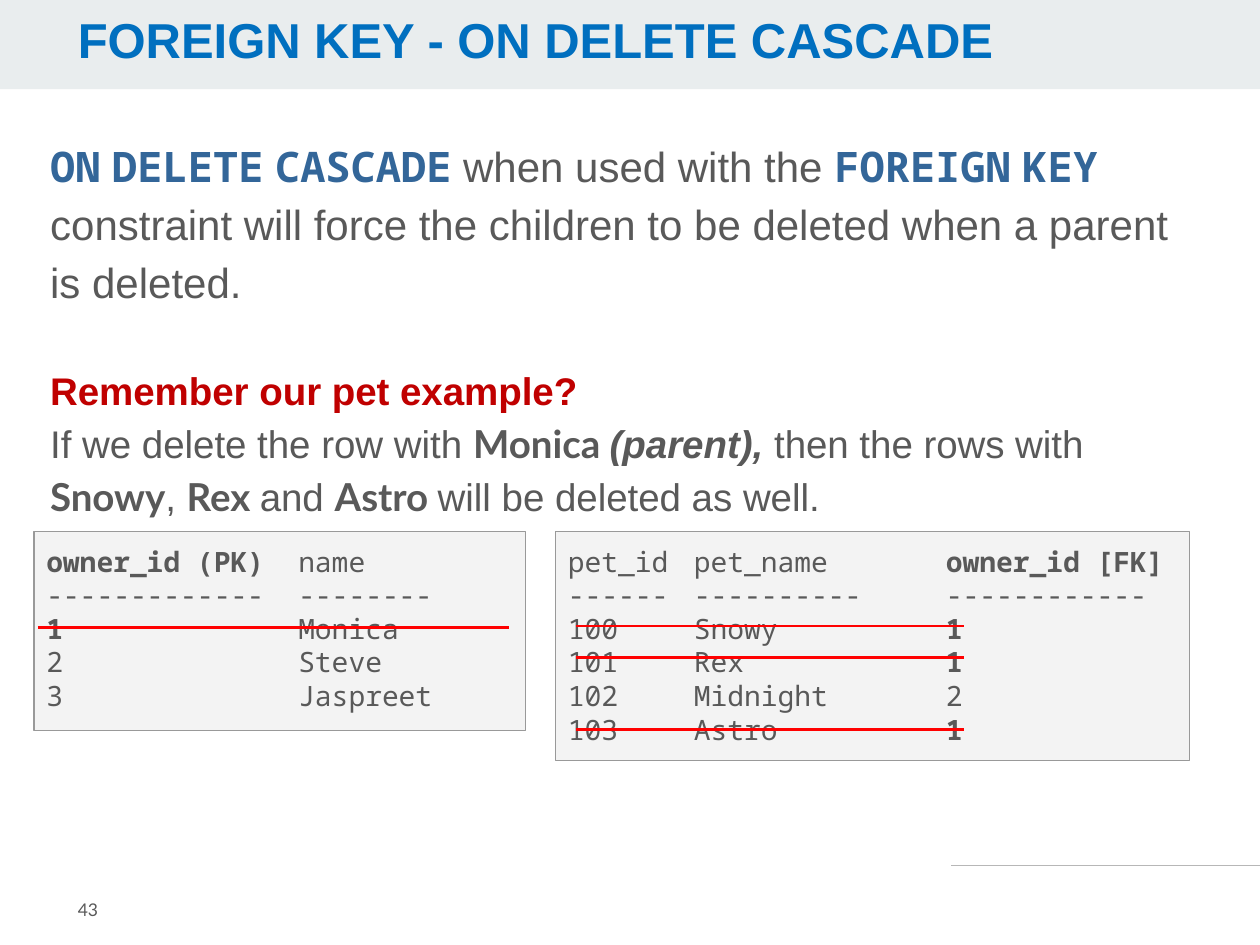
import pptx
import pptx.util
import pptx.dml.color
import pptx.enum.shapes
import pptx.enum.text
import pptx.oxml.ns
import lxml.etree

Pt = pptx.util.Pt
RGB = pptx.dml.color.RGBColor
BAND = RGB(0xE9, 0xED, 0xEE)
BLUE = RGB(0x00, 0x6F, 0xBF)
NAVY = RGB(0x33, 0x66, 0x99)
GREY = RGB(0x59, 0x59, 0x59)
CRIMSON = RGB(0xC0, 0x00, 0x00)
PANEL = RGB(0xF3, 0xF3, 0xF3)
BORDER = RGB(0x99, 0x99, 0x99)
RULE = RGB(0xB7, 0xB7, 0xB7)
RED = RGB(0xFF, 0x00, 0x00)

PLAIN = {"name": "Arial", "size": Pt(24), "bold": False, "color": GREY}
CODE = PLAIN | {"name": "Noto Sans Mono", "bold": True, "color": NAVY}
SMALL = PLAIN | {"size": Pt(22)}
NAME = SMALL | {"name": "Lato", "bold": True}
MONO = PLAIN | {"name": "Noto Sans Mono", "size": Pt(16)}
KEY = MONO | {"bold": True}


def write(par, runs):
    for text, form in runs:
        if text == "\n":
            par.add_line_break()
            continue
        run = par.add_run()
        run.text = text
        for key, value in form.items():
            if key == "color":
                run.font.color.rgb = value
            else:
                setattr(run.font, key, value)


def rule(x1, y1, x2, y2, color, width):
    line = slide.shapes.add_connector(
        pptx.enum.shapes.MSO_CONNECTOR.STRAIGHT, Pt(x1), Pt(y1), Pt(x2), Pt(y2))
    line.line.color.rgb = color
    line.line.width = Pt(width)
    lxml.etree.SubElement(line._element.spPr, pptx.oxml.ns.qn("a:effectLst"))


deck = pptx.Presentation()
deck.slide_width, deck.slide_height = Pt(720), Pt(540)
slide = deck.slides.add_slide(deck.slide_layouts[6])

rule(543.6, 494.6, 720, 494.6, RULE, 0.75)
band = slide.shapes.add_shape(
    pptx.enum.shapes.MSO_SHAPE.RECTANGLE, 0, 0, Pt(720), Pt(51))
band.shadow.inherit = False
band.fill.solid()
band.fill.fore_color.rgb = BAND
band.line.fill.background()

title = [("FOREIGN KEY - ON DELETE CASCADE",
          PLAIN | {"size": Pt(28), "bold": True, "color": BLUE})]
lead = [
    ("ON", CODE), (" ", PLAIN), ("DELETE", CODE), (" ", PLAIN), ("CASCADE", CODE),
    (" when used with the ", PLAIN),
    ("FOREIGN", CODE), (" ", PLAIN), ("KEY", CODE),
    (" constraint will force the children to be deleted when a parent is deleted.", PLAIN),
]
story = [
    ("Remember our pet example? ", SMALL | {"bold": True, "color": CRIMSON}),
    ("\n", SMALL),
    ("If we delete the row with ", SMALL), ("Monica ", NAME),
    ("(parent), ", SMALL | {"bold": True, "italic": True}),
    ("then the rows with ", SMALL), ("Snowy", NAME), (", ", SMALL),
    ("Rex ", NAME), ("and ", SMALL), ("Astro ", NAME),
    ("will be deleted as well.", SMALL),
]
page = [("43", NAME | {"size": Pt(10), "bold": False})]

anchor = pptx.enum.text.MSO_ANCHOR
texts = [
    ((37.4, 5.8, 567.4, 39.6), 3.6, anchor.TOP, 0.9, [title]),
    ((21.6, 72.7, 656, 235.4), 3.6, anchor.TOP, 1.15, [lead, story]),
    ((37.4, 499, 88.6, 41), 7.2, anchor.MIDDLE, 1.0, [page]),
]
for place, inset, hold, space, pars in texts:
    frame = slide.shapes.add_textbox(*map(Pt, place)).text_frame
    form = {"word_wrap": True, "vertical_anchor": hold,
            "margin_top": Pt(inset), "margin_bottom": Pt(inset)}
    for key, value in form.items():
        setattr(frame, key, value)
    for i, runs in enumerate(pars):
        par = frame.add_paragraph() if i else frame.paragraphs[0]
        par.line_spacing = space
        if i:
            par.space_before = Pt(30)
        write(par, runs)

owners = [
    [("owner_id (PK)", KEY), ("\tname", MONO)],
    [("-------------\t--------", MONO)],
    [("1", KEY), ("\tMonica", MONO)],
    [("2\tSteve", MONO)],
    [("3\tJaspreet", MONO)],
]
pets = [
    [("pet_id\tpet_name\t", MONO), ("owner_id [FK]", KEY)],
    [("------\t----------\t------------", MONO)],
    [("100\tSnowy\t", MONO), ("1", KEY)],
    [("101\tRex\t", MONO), ("1", KEY)],
    [("102\tMidnight\t2", MONO)],
    [("103\tAstro\t", MONO), ("1", KEY)],
]
panels = [
    ((19.4, 303.8, 280.8, 113.8), [144], owners),
    ((317.5, 303.8, 362.2, 131), [72, 216], pets),
]
for place, stops, rows in panels:
    box = slide.shapes.add_shape(
        pptx.enum.shapes.MSO_SHAPE.RECTANGLE, *map(Pt, place))
    box.shadow.inherit = False
    box.fill.solid()
    box.fill.fore_color.rgb = PANEL
    box.line.color.rgb = BORDER
    box.line.width = Pt(0.75)
    frame = box.text_frame
    form = {"word_wrap": True, "vertical_anchor": anchor.TOP}
    form |= {"margin_" + side: Pt(7.2) for side in ("left", "top", "right", "bottom")}
    for key, value in form.items():
        setattr(frame, key, value)
    for i, runs in enumerate(rows):
        par = frame.add_paragraph() if i else frame.paragraphs[0]
        par.alignment = pptx.enum.text.PP_ALIGN.LEFT
        tabs = lxml.etree.SubElement(
            par._p.get_or_add_pPr(), pptx.oxml.ns.qn("a:tabLst"))
        for stop in stops:
            lxml.etree.SubElement(
                tabs, pptx.oxml.ns.qn("a:tab"), pos=str(Pt(stop)), algn="l")
        write(par, runs)

for y in (357.8, 375.8, 416.9):
    rule(329, y, 550.8, y, RED, 1.5)
rule(21.6, 358.6, 290.9, 358.6, RED, 1.5)

deck.save("out.pptx")
